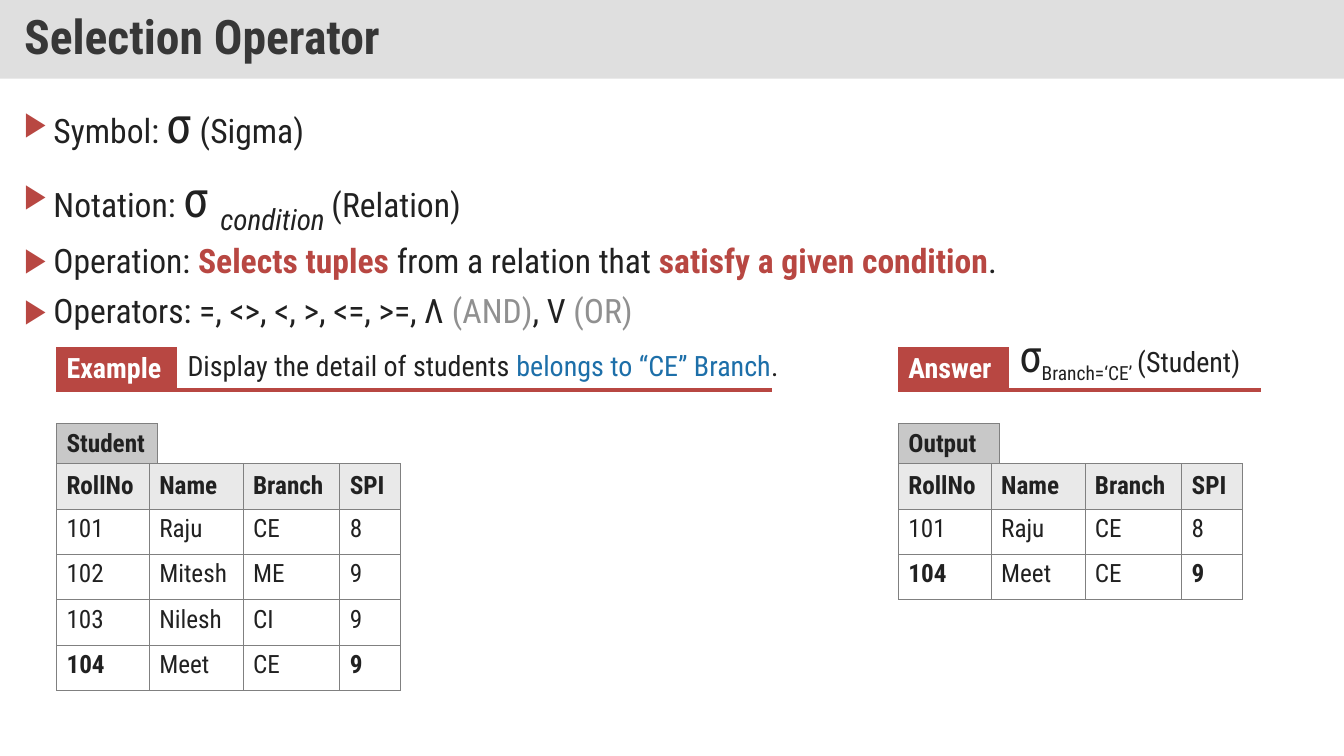
from lxml import etree
from pptx import Presentation
from pptx.dml.color import RGBColor
from pptx.enum.shapes import MSO_CONNECTOR
from pptx.enum.text import MSO_ANCHOR, MSO_AUTO_SIZE, PP_ALIGN
from pptx.oxml.ns import qn
from pptx.util import Pt

PX = 9144
FONT = "Roboto Condensed"
NO_STYLE = "{2D5ABB26-0587-4C30-8999-92F81FD0307C}"
BAND = RGBColor(0xC0, 0xC0, 0xC0)
TITLE = RGBColor(0x37, 0x37, 0x37)
INK = RGBColor(0x21, 0x21, 0x21)
RED = RGBColor(0xB8, 0x47, 0x42)
BLUE = RGBColor(0x1D, 0x6F, 0xA9)
MUTED = RGBColor(0x90, 0x90, 0x90)
BORDER = RGBColor(0x80, 0x80, 0x80)
CAPTION = RGBColor(0xC8, 0xC8, 0xC8)
HEADER = RGBColor(0xE9, 0xE9, 0xE9)
WHITE = RGBColor(0xFF, 0xFF, 0xFF)


def write(p, text, size=24, color=INK, bold=False, italic=False, base=0):
    r = p.add_run()
    r.text = text
    r.font.name = FONT
    r.font.size = Pt(size)
    r.font.color.rgb = color
    r.font.bold = bold
    r.font.italic = italic
    if base:
        r._r.get_or_add_rPr().set("baseline", str(base * 1000))


def add_grid(x, y, widths, height, rows, fills, border=True):
    frame = slide.shapes.add_table(len(rows), len(widths), x * PX, y * PX,
                                   sum(widths) * PX, height * len(rows) * PX)
    table = frame.table
    table.first_row = table.horz_banding = False
    table._tbl.tblPr.find(qn("a:tableStyleId")).text = NO_STYLE
    for col, width in zip(table.columns, widths):
        col.width = width * PX
    for i, (row, fill) in enumerate(zip(rows, fills)):
        table.rows[i].height = height * PX
        for j, runs in enumerate(row):
            cell = table.cell(i, j)
            cell.vertical_anchor = MSO_ANCHOR.TOP if i else MSO_ANCHOR.MIDDLE
            for text, style in runs:
                write(cell.text_frame.paragraphs[0], text, **style)
            if border:
                tcPr = cell._tc.get_or_add_tcPr()
                for side in ("lnL", "lnR", "lnT", "lnB"):
                    ln = etree.SubElement(tcPr, qn(f"a:{side}"), w=str(Pt(0.5)))
                    solid = etree.SubElement(ln, qn("a:solidFill"))
                    etree.SubElement(solid, qn("a:srgbClr"), val=str(BORDER))
            if fill is None:
                cell.fill.background()
            else:
                cell.fill.solid()
                cell.fill.fore_color.rgb = fill


prs = Presentation()
prs.slide_width, prs.slide_height = 1333 * PX, 750 * PX
slide = prs.slides.add_slide(prs.slide_layouts[1])

title = slide.shapes.title
title.left, title.top, title.width, title.height = 0, 0, 1333 * PX, 78 * PX
title.fill.solid()
title.fill.fore_color.rgb = BAND
band_color = title._element.spPr.find(qn("a:solidFill"))[0]
etree.SubElement(band_color, qn("a:alpha"), val="50000")
tf = title.text_frame
tf.word_wrap = True
tf.auto_size = MSO_AUTO_SIZE.NONE
tf.vertical_anchor = MSO_ANCHOR.MIDDLE
tf.margin_left = tf.margin_right = 24 * PX
tf.margin_top = tf.margin_bottom = 12 * PX
p = tf.paragraphs[0]
p.alignment = PP_ALIGN.LEFT
p.line_spacing = 0.9
write(p, "Selection Operator", size=34, color=TITLE, bold=True)

points = [
    [("Symbol: ", {}), ("σ", dict(size=36)), (" (Sigma)", {})],
    [("Notation: ", {}), ("σ ", dict(size=36)),
     ("condition ", dict(size=36, italic=True, base=-25)), ("(Relation)", {})],
    [("Operation: ", {}), ("Selects tuples ", dict(color=RED, bold=True)),
     ("from a relation that ", {}),
     ("satisfy a given condition", dict(color=RED, bold=True)), (".", {})],
    [("Operators: =, <>, <, >, <=, >=, Λ ", {}), ("(AND)", dict(color=MUTED)),
     (", V ", {}), ("(OR)", dict(color=MUTED))],
]
body = slide.placeholders[1]
body.left, body.top, body.width, body.height = 14 * PX, 94 * PX, 1305 * PX, 611 * PX
tf = body.text_frame
tf.word_wrap = True
tf.auto_size = MSO_AUTO_SIZE.NONE
tf.vertical_anchor = MSO_ANCHOR.TOP
for i, runs in enumerate(points):
    p = tf.add_paragraph() if i else tf.paragraphs[0]
    pPr = p._p.get_or_add_pPr()
    pPr.set("marL", str(29 * PX))
    pPr.set("indent", str(-29 * PX))
    bullet_color = etree.SubElement(pPr, qn("a:buClr"))
    etree.SubElement(bullet_color, qn("a:srgbClr"), val=str(RED))
    etree.SubElement(pPr, qn("a:buChar"), char="▶")
    p.alignment = PP_ALIGN.JUSTIFY
    p.line_spacing = 0.9
    p.space_before = Pt(10 if i else 0)
    for text, style in runs:
        write(p, text, **style)

question = [("Display the detail of students ", dict(size=20)),
            ("belongs to “CE” Branch", dict(size=20, color=BLUE)),
            (".", dict(size=20))]
answer = [("σ", dict(size=32)), ("Branch=‘CE’ ", dict(size=24, base=-25)),
          ("(Student)", dict(size=20))]
header = ("RollNo", "Name", "Branch", "SPI")
students = [("101", "Raju", "CE", "8"), ("102", "Mitesh", "ME", "9"),
            ("103", "Nilesh", "CI", "9"), ("104", "Meet", "CE", "9")]
selected = [s for s in students if s[2] == "CE"]

panels = [
    (56, 710, "Example", 120, question, 343, 618, 43, "Student", students),
    (891, 360, "Answer", 110, answer, 323, 262, 63, "Output", selected),
]
for x, rule, label, label_w, runs, y, width, height, caption, records in panels:
    line = slide.shapes.add_connector(MSO_CONNECTOR.STRAIGHT, x * PX, 387 * PX,
                                      (x + rule) * PX, 387 * PX)
    line.line.color.rgb = RED
    line.line.width = Pt(2.25)
    etree.SubElement(line._element.spPr, qn("a:effectLst"))
    label_run = (label, dict(size=20, color=WHITE, bold=True))
    add_grid(x, 344, [label_w], 43, [[[label_run]]], [RED], border=False)
    add_grid(x + label_w, y, [width], height, [[runs]], [None], border=False)

    rows = []
    for record in [header] + records:
        rows.append([[(text, dict(size=18, bold=record == header or (
            record[0] == "104" and j in (0, 3))))] for j, text in enumerate(record)])
    add_grid(x, 460, [92, 93, 96, 60], 45, rows, [HEADER] + [WHITE] * len(records))
    add_grid(x, 420, [100], 40, [[[(caption, dict(size=18, bold=True))]]], [CAPTION])

prs.save("out.pptx")
